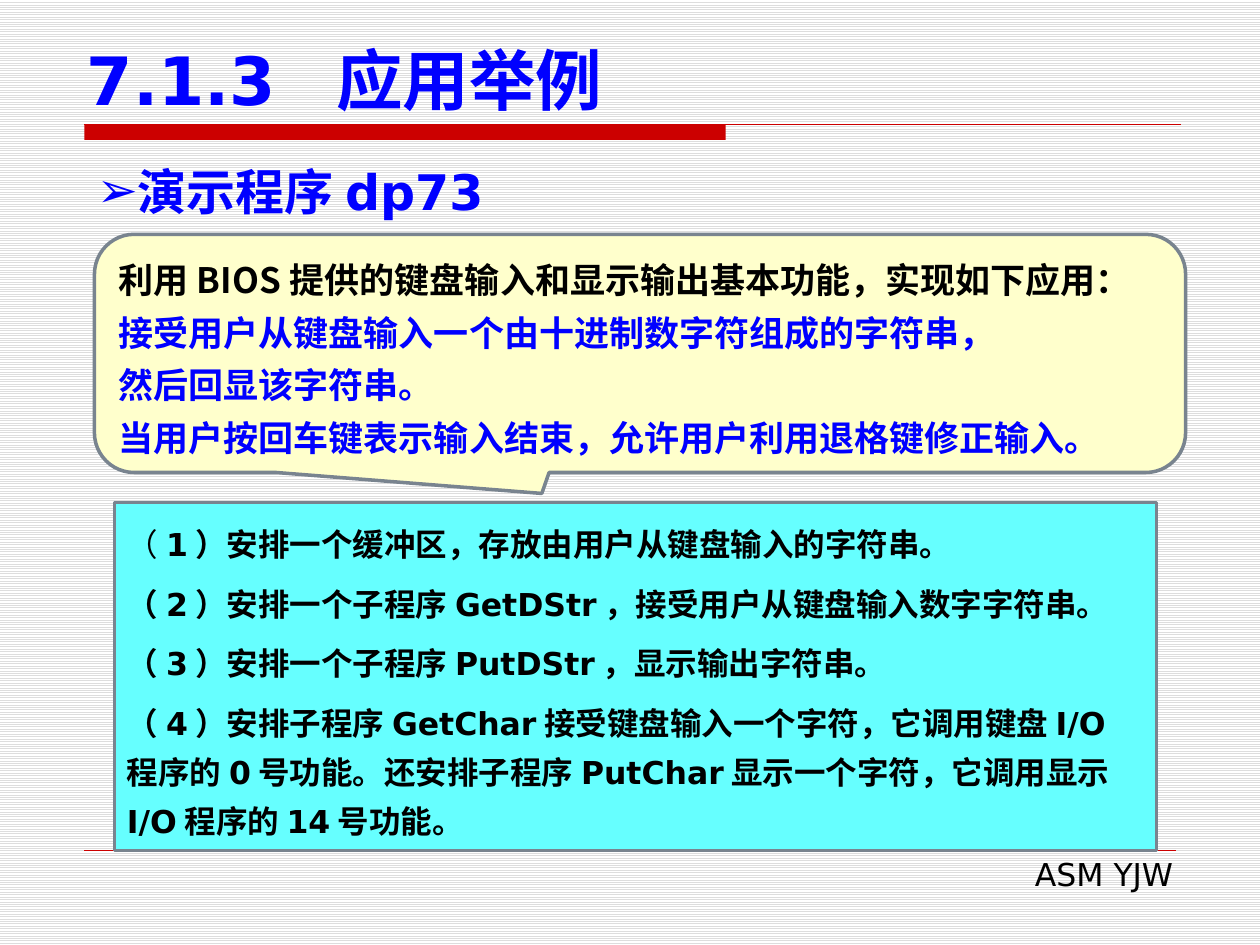
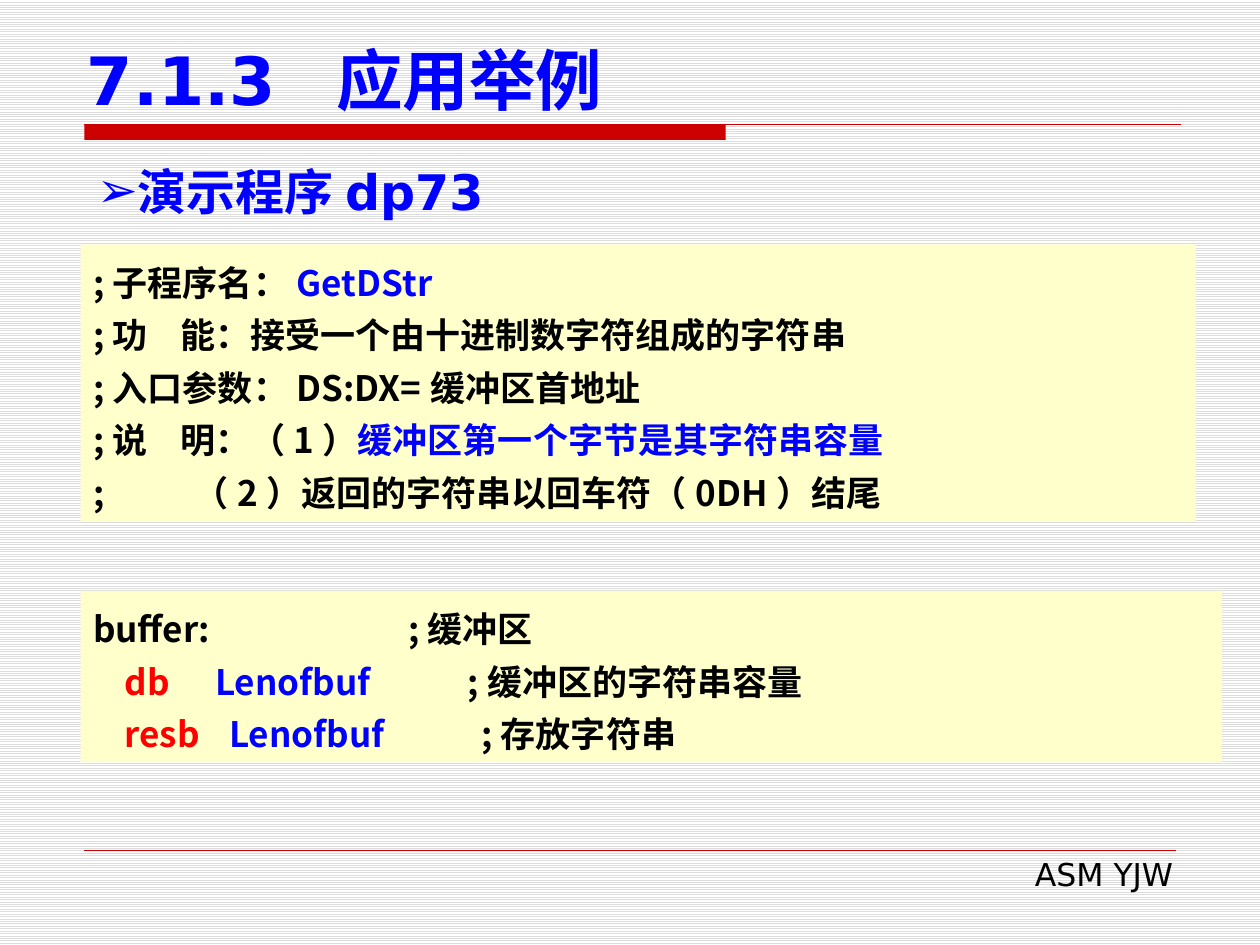
from dataclasses import dataclass
from typing import Optional

from lxml.etree import SubElement
from pptx import Presentation
from pptx.dml.color import RGBColor
from pptx.enum.dml import MSO_PATTERN
from pptx.enum.shapes import MSO_CONNECTOR, MSO_SHAPE
from pptx.enum.text import MSO_ANCHOR, MSO_AUTO_SIZE, PP_ALIGN
from pptx.oxml.ns import qn
from pptx.util import Inches, Pt

COLORS = {
    "paper": "FFFFFF",
    "stripe": "DDDDDD",
    "rule": "CC0000",
    "black": "000000",
    "blue": "0000FF",
    "red": "FF0000",
    "cream": "FFFFCC",
    "cyan": "66FFFF",
    "outline": "79848F",
}
LATIN_FONT = "DejaVu Sans"
CHINESE_FONT = "Noto Sans CJK SC"
TITLE = "7.1.3\t应用举例"
SUBTITLE = "演示程序dp73"
FOOTER = "ASM YJW"


@dataclass(frozen=True)
class Span:
    text: str
    color: str = "black"
    bold: bool = True


@dataclass(frozen=True)
class Line:
    spans: tuple[Span, ...]
    tabs: tuple[float, ...] = ()


@dataclass(frozen=True)
class Panel:
    place: tuple[float, float, float, float]
    fill: str
    lines: tuple[Line, ...]
    shape: MSO_SHAPE = MSO_SHAPE.RECTANGLE
    adjustments: tuple[float, ...] = ()
    outline: Optional[str] = None
    anchor: MSO_ANCHOR = MSO_ANCHOR.TOP
    font: str = CHINESE_FONT
    size: float = 20
    spacing: float = 30
    before: float = 0


def line(*spans: Span, tabs: tuple[float, ...] = ()) -> Line:
    return Line(spans, tabs)


TASK_PANELS = (
    Panel(
        (0.75, 1.86, 8.66, 1.89), "cream",
        (
            line(Span("利用BIOS提供的键盘输入和显示输出基本功能，实现如下应用：")),
            line(Span("接受用户从键盘输入一个由十进制数字符组成的字符串，", "blue")),
            line(Span("然后回显该字符串。", "blue")),
            line(Span("当用户按回车键表示输入结束，允许用户利用退格键修正输入。", "blue")),
        ),
        shape=MSO_SHAPE.ROUNDED_RECTANGULAR_CALLOUT,
        adjustments=(-0.09, 0.588, 0.167),
        outline="outline", anchor=MSO_ANCHOR.MIDDLE,
    ),
    Panel(
        (0.91, 3.99, 8.27, 2.76), "cyan",
        (
            line(Span("（", bold=False),
                 Span("1）安排一个缓冲区，存放由用户从键盘输入的字符串。")),
            line(Span("（2）安排一个子程序GetDStr，接受用户从键盘输入数字字符串。")),
            line(Span("（3）安排一个子程序PutDStr，显示输出字符串。")),
            line(Span("（4）安排子程序GetChar接受键盘输入一个字符，它调用键盘I/O程序的0号功能。"
                      "还安排子程序PutChar显示一个字符，它调用显示I/O程序的14号功能。")),
        ),
        outline="outline", anchor=MSO_ANCHOR.MIDDLE,
        font=LATIN_FONT, size=18, spacing=28, before=6,
    ),
)

CODE_PANELS = (
    Panel(
        (0.64, 1.94, 8.85, 2.2), "cream",
        (
            line(Span(";子程序名："), Span("GetDStr", "blue")),
            line(Span(";功\t能：接受一个由十进制数字符组成的字符串"), tabs=(0.69,)),
            line(Span(";入口参数：DS:DX=缓冲区首地址")),
            line(Span(";说\t明：（1）"), Span("缓冲区第一个字节是其字符串容量", "blue"),
                 tabs=(0.69,)),
            line(Span(";\t（2）返回的字符串以回车符（0DH）结尾"), tabs=(0.8,)),
        ),
    ),
    Panel(
        (0.64, 4.69, 9.06, 1.36), "cream",
        (
            line(Span("buffer:\t;缓冲区"), tabs=(2.5,)),
            line(Span("\tdb", "red"), Span("\tLenofbuf", "blue"),
                 Span("\t;缓冲区的字符串容量"), tabs=(0.25, 0.97, 2.97)),
            line(Span("\tresb", "red"), Span("\tLenofbuf", "blue"),
                 Span("\t;存放字符串"), tabs=(0.25, 1.08, 3.08)),
        ),
    ),
)


def rgb(name: str) -> RGBColor:
    return RGBColor.from_string(COLORS[name])


def add_span(para, text: str, *, size: float, color: str = "black",
             bold: bool = False, font: str = LATIN_FONT) -> None:
    span = para.add_run()
    span.text = text
    span.font.size = Pt(size)
    span.font.bold = bold
    span.font.name = font
    span.font.color.rgb = rgb(color)
    SubElement(span.font._element, qn("a:ea"), typeface=CHINESE_FONT)


def set_tabs(para, stops: tuple[float, ...]) -> None:
    if stops:
        tab_list = SubElement(para._p.get_or_add_pPr(), qn("a:tabLst"))
        for stop in stops:
            SubElement(tab_list, qn("a:tab"), pos=str(Inches(stop)), algn="l")


def set_bullet(para, symbol: str, indent: float) -> None:
    properties = para._p.get_or_add_pPr()
    properties.set("marL", str(Inches(indent)))
    properties.set("indent", str(-Inches(indent)))
    SubElement(properties, qn("a:buFont"), typeface=LATIN_FONT)
    SubElement(properties, qn("a:buChar"), char=symbol)


def set_frame(box, anchor: MSO_ANCHOR):
    frame = box.text_frame
    frame.word_wrap = True
    frame.auto_size = MSO_AUTO_SIZE.NONE
    frame.vertical_anchor = anchor
    return frame


def place_box(box, left: float, top: float, width: float, height: float) -> None:
    box.left, box.top = Inches(left), Inches(top)
    box.width, box.height = Inches(width), Inches(height)


def add_text_box(page, place: tuple[float, ...], align: PP_ALIGN):
    box = page.shapes.add_textbox(*map(Inches, place))
    para = set_frame(box, MSO_ANCHOR.TOP).paragraphs[0]
    para.alignment = align
    return para


def add_rule(page, right: float, top: float, weight: float) -> None:
    rule = page.shapes.add_connector(
        MSO_CONNECTOR.STRAIGHT, Inches(0.67), Inches(top), Inches(right), Inches(top))
    rule.line.color.rgb = rgb("rule")
    rule.line.width = Pt(weight)
    SubElement(rule._element.spPr, qn("a:effectLst"))


def add_shape(page, kind: MSO_SHAPE, place: tuple[float, ...], fill: str,
              outline: Optional[str] = None):
    box = page.shapes.add_shape(kind, *map(Inches, place))
    box.shadow.inherit = False
    box.fill.solid()
    box.fill.fore_color.rgb = rgb(fill)
    if outline:
        box.line.color.rgb = rgb(outline)
        box.line.width = Pt(2)
    else:
        box.line.fill.background()
    return box


def add_panel(page, panel: Panel) -> None:
    box = add_shape(page, panel.shape, panel.place, panel.fill, panel.outline)
    for index, value in enumerate(panel.adjustments):
        box.adjustments[index] = value
    frame = set_frame(box, panel.anchor)
    for index, content in enumerate(panel.lines):
        para = frame.add_paragraph() if index else frame.paragraphs[0]
        para.alignment = PP_ALIGN.LEFT
        para.line_spacing = Pt(panel.spacing)
        para.space_before = Pt(panel.before)
        set_tabs(para, content.tabs)
        for span in content.spans:
            add_span(para, span.text, size=panel.size, color=span.color,
                     bold=span.bold, font=panel.font)


def add_page(deck, panels: tuple[Panel, ...]) -> None:
    page = deck.slides.add_slide(deck.slide_layouts[5])
    add_shape(page, MSO_SHAPE.RECTANGLE, (0.67, 0.99, 5.09, 0.12), "rule")
    add_rule(page, right=9.37, top=0.99, weight=0.75)
    add_rule(page, right=9.33, top=6.75, weight=0.25)

    footer = add_text_box(page, (3.82, 6.74, 5.59, 0.4), PP_ALIGN.RIGHT)
    add_span(footer, FOOTER, size=18)

    title = page.shapes.title
    place_box(title, 0.59, 0.28, 9.06, 0.71)
    heading = set_frame(title, MSO_ANCHOR.BOTTOM).paragraphs[0]
    heading.alignment = PP_ALIGN.LEFT
    set_tabs(heading, (1.98,))
    add_span(heading, TITLE, size=38, color="blue", bold=True)

    subtitle = add_text_box(page, (0.67, 1.23, 8.66, 0.57), PP_ALIGN.JUSTIFY)
    set_bullet(subtitle, "➢", 0.31)
    add_span(subtitle, SUBTITLE, size=28, color="blue", bold=True)

    for panel in panels:
        add_panel(page, panel)


def main() -> None:
    deck = Presentation()
    deck.slide_width, deck.slide_height = Inches(10), Inches(7.5)
    backdrop = deck.slide_master.background.fill
    backdrop.patterned()
    backdrop.pattern = MSO_PATTERN.LIGHT_HORIZONTAL
    backdrop.fore_color.rgb = rgb("stripe")
    backdrop.back_color.rgb = rgb("paper")
    for panels in (TASK_PANELS, CODE_PANELS):
        add_page(deck, panels)
    deck.save("out.pptx")


if __name__ == "__main__":
    main()
